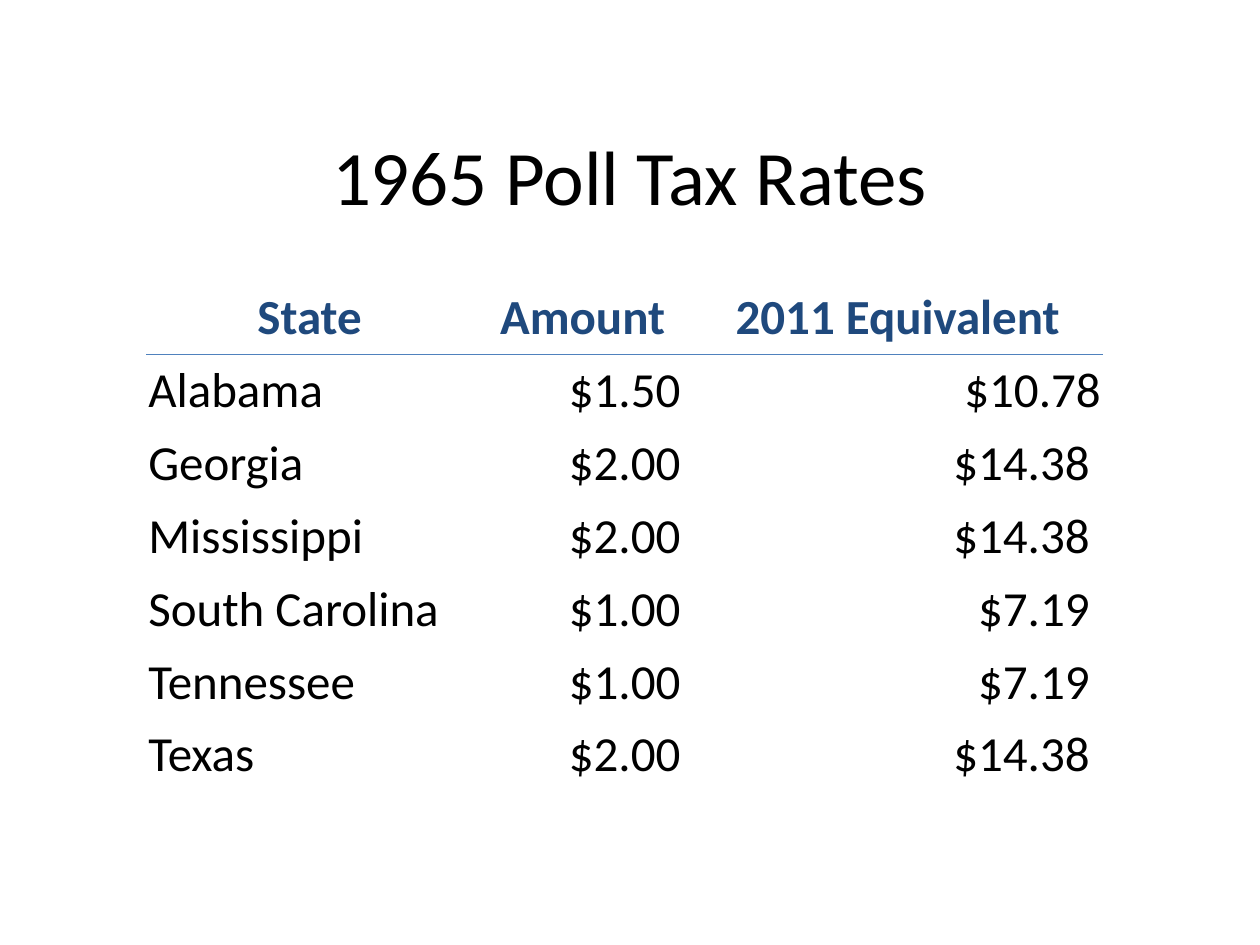
from dataclasses import dataclass

from lxml import etree
from pptx import Presentation
from pptx import util as u
from pptx.dml.color import RGBColor
from pptx.enum import text
from pptx.oxml import ns


@dataclass(frozen=True)
class Theme:
    font: str = "Calibri"
    title_size: int = 44
    table_size: int = 28
    ink: str = "000000"
    heading: str = "1F497D"
    rule: str = "4F81BD"
    rule_width: float = 0.75


class SlideBuilder:
    """Holds the theme and the current slide."""

    def __init__(self, deck, theme):
        self.theme = theme
        self.slide = deck.slides.add_slide(deck.slide_layouts[5])

    def format(self, para, size, color, align, bold=False):
        para.alignment = align
        para.font.name = self.theme.font
        para.font.size = u.Pt(size)
        para.font.bold = bold
        para.font.color.rgb = RGBColor.from_string(color)

    def title(self, words, left, top, width, height):
        box = self.slide.shapes.title
        box.left, box.top = u.Cm(left), u.Cm(top)
        box.width, box.height = u.Cm(width), u.Cm(height)
        frame = box.text_frame
        frame.text = words
        frame.vertical_anchor = text.MSO_ANCHOR.MIDDLE
        self.format(frame.paragraphs[0], self.theme.title_size,
                    self.theme.ink, text.PP_ALIGN.CENTER)

    def rule(self, cell, side):
        """Draw a cell border; side is lnT or lnB."""
        properties = cell._tc.get_or_add_tcPr()
        line = etree.SubElement(properties, ns.qn(f"a:{side}"),
                                w=str(int(u.Pt(self.theme.rule_width))))
        fill = etree.SubElement(line, ns.qn("a:solidFill"))
        etree.SubElement(fill, ns.qn("a:srgbClr"), val=self.theme.rule)

    def table(self, rows, left, top, widths, heights, aligns):
        table = self.slide.shapes.add_table(
            len(rows), len(widths), u.Cm(left), u.Cm(top),
            u.Cm(sum(widths)), u.Cm(sum(heights))).table
        table.first_row = table.horz_banding = False
        for column, width in zip(table.columns, widths):
            column.width = u.Cm(width)
        for row, height in zip(table.rows, heights):
            row.height = u.Cm(height)

        for r, values in enumerate(rows):
            for c, value in enumerate(values):
                cell = table.cell(r, c)
                cell.text = value
                cell.vertical_anchor = text.MSO_ANCHOR.BOTTOM
                cell.margin_left = cell.margin_right = u.Cm(0.03)
                cell.margin_top = cell.margin_bottom = u.Cm(0.13)
                # One rule between the header and the first state
                if r < 2:
                    self.rule(cell, "lnT" if r else "lnB")
                cell.fill.background()
                header = r == 0
                self.format(cell.text_frame.paragraphs[0],
                            self.theme.table_size,
                            self.theme.heading if header else self.theme.ink,
                            text.PP_ALIGN.CENTER if header else aligns[c],
                            bold=header)


def main():
    deck = Presentation()
    deck.slide_width, deck.slide_height = u.Cm(25.4), u.Cm(19.05)
    builder = SlideBuilder(deck, Theme())

    # Title
    builder.title("1965 Poll Tax Rates", 1.9, 1.47, 21.59, 4.09)

    # Tax rates by state
    rates = [
        ("State", "Amount", "2011 Equivalent"),
        ("Alabama", "$1.50 ", "$10.78"),
        ("Georgia", "$2.00 ", "$14.38 "),
        ("Mississippi", "$2.00 ", "$14.38 "),
        ("South Carolina", "$1.00 ", "$7.19 "),
        ("Tennessee", "$1.00 ", "$7.19 "),
        ("Texas", "$2.00 ", "$14.38 "),
    ]
    align = text.PP_ALIGN
    builder.table(rates, 2.96, 5.5, widths=[6.56, 4.45, 8.25],
                  heights=[1.65, 1.27] + [1.24] * 5,
                  aligns=[align.LEFT, align.RIGHT, align.RIGHT])

    deck.save("out.pptx")


if __name__ == "__main__":
    main()
